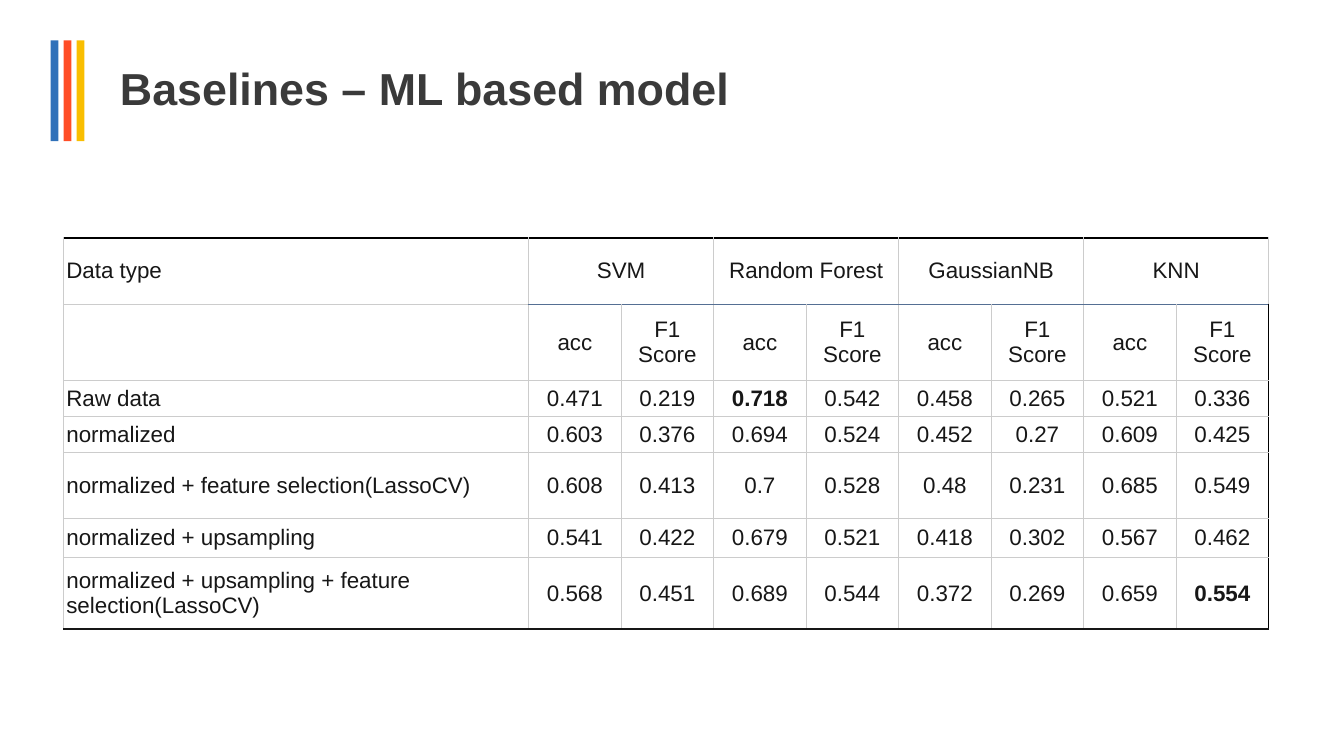
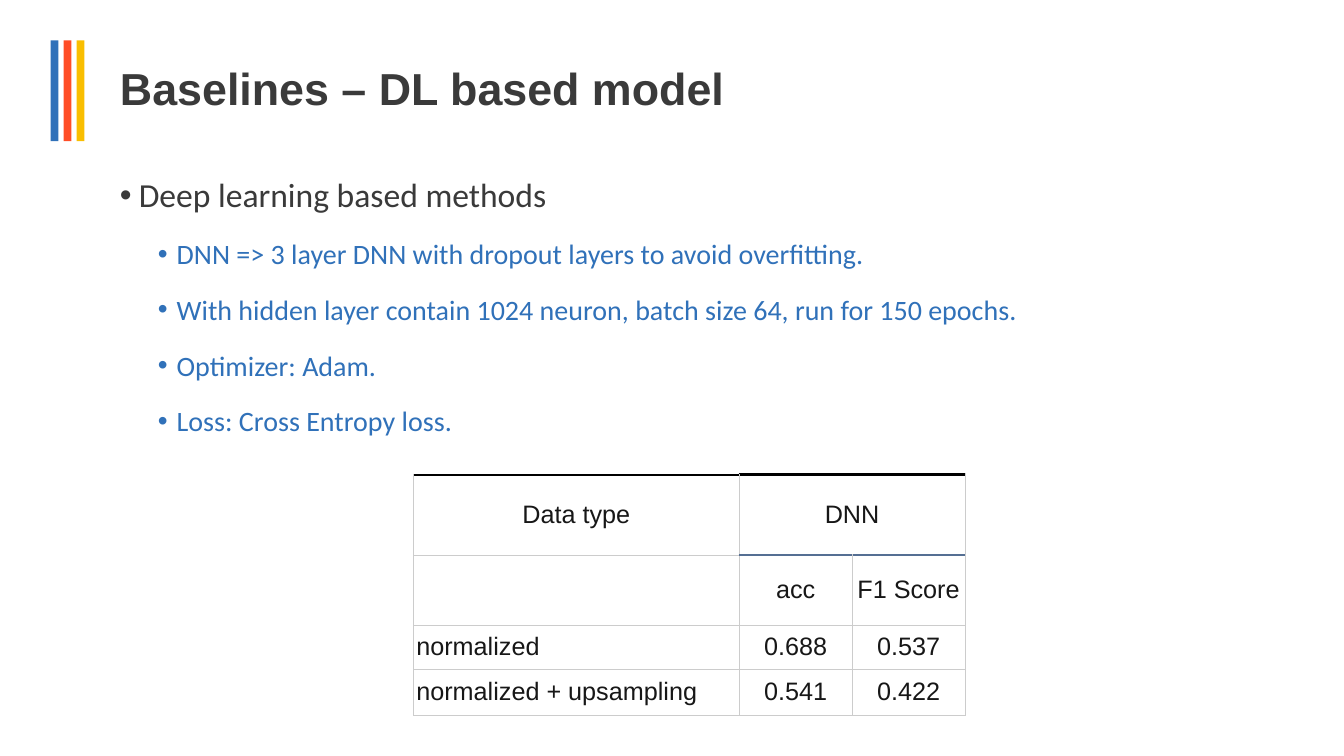
from dataclasses import dataclass

from lxml.etree import SubElement
from pptx import Presentation
from pptx.dml.color import RGBColor
from pptx.enum.shapes import MSO_SHAPE
from pptx.enum.text import MSO_ANCHOR, MSO_AUTO_SIZE, PP_ALIGN
from pptx.oxml.ns import qn
from pptx.util import Pt

BLUE, RED, YELLOW = "3071B9", "FF4D26", "F9BE00"
DARK, INK, BLACK = "3A3A3A", "171717", "000000"
GRID, HEADER_RULE = "CCCCCC", "556F93"

TITLE_FONT = {"name": "Arial", "size": Pt(32), "bold": True}
TITLE_FRAME = {"vertical_anchor": MSO_ANCHOR.MIDDLE, "word_wrap": True,
               "auto_size": MSO_AUTO_SIZE.NONE}
BODY_FRAME = {**TITLE_FRAME, "vertical_anchor": MSO_ANCHOR.TOP}
CELL_FORMAT = {"vertical_anchor": MSO_ANCHOR.MIDDLE, "margin_left": Pt(2),
               "margin_right": Pt(2), "margin_top": 0, "margin_bottom": 0}
PLAIN_TABLE = {"first_row": False, "horz_banding": False}

TITLE_AREA = (78.5, 28.8, 828, 72)
BODY_AREA = (78.5, 106.5, 828, 363)


@dataclass(frozen=True)
class Border:
    color: str = GRID
    width: float = 0.75


@dataclass(frozen=True)
class BulletStyle:
    size: float
    color: str
    indent: float
    space_before: float


@dataclass(frozen=True)
class ScoreTable:
    left: float
    top: float
    label_width: float
    score_width: float
    row_heights: tuple[float, ...]
    models: tuple[str, ...]
    scores: dict[str, str]
    font_size: float
    header_align: PP_ALIGN
    right: Border = Border()
    bottom: Border = Border()
    best: tuple[str, ...] = ()

    def rows(self) -> list[list[str]]:
        names = [text for model in self.models for text in (model, "")]
        return [["Data type", *names],
                ["", *["acc", "F1 Score"] * len(self.models)],
                *([label, *line.split()] for label, line in self.scores.items())]


BULLET_STYLES = (BulletStyle(24, DARK, 13.5, 0), BulletStyle(20, BLUE, 40.5, 3.8))

DEEP_LEARNING_POINTS = (
    (0, "Deep learning based methods"),
    (1, "DNN => 3 layer DNN with dropout layers to avoid overfitting."),
    (1, "With hidden layer contain 1024 neuron, batch size 64, run for 150 epochs."),
    (1, "Optimizer: Adam."),
    (1, "Loss: Cross Entropy loss."),
)

MACHINE_LEARNING_SCORES = ScoreTable(
    left=45.4, top=170, label_width=332.2, score_width=66.1,
    row_heights=(47.4, 54.2, 25.8, 25.8, 47.2, 27.7, 51.5),
    models=("SVM", "Random Forest", "GaussianNB", "KNN"),
    scores={
        "Raw data": "0.471 0.219 0.718 0.542 0.458 0.265 0.521 0.336",
        "normalized": "0.603 0.376 0.694 0.524 0.452 0.27 0.609 0.425",
        "normalized + feature selection(LassoCV)":
            "0.608 0.413 0.7 0.528 0.48 0.231 0.685 0.549",
        "normalized + upsampling":
            "0.541 0.422 0.679 0.521 0.418 0.302 0.567 0.462",
        "normalized + upsampling + feature selection(LassoCV)":
            "0.568 0.451 0.689 0.544 0.372 0.269 0.659 0.554",
    },
    font_size=16, header_align=PP_ALIGN.LEFT, right=Border(BLACK),
    bottom=Border(INK, 1.5), best=("0.718", "0.554"))

DEEP_LEARNING_SCORES = ScoreTable(
    left=295.4, top=339, label_width=232.6, score_width=80.7,
    row_heights=(57.5, 50, 31.5, 32.9), models=("DNN",),
    scores={"normalized": "0.688 0.537", "normalized + upsampling": "0.541 0.422"},
    font_size=18, header_align=PP_ALIGN.CENTER)


def rgb(color: str) -> RGBColor:
    return RGBColor.from_string(color)


def apply(target, values: dict) -> None:
    for name, value in values.items():
        setattr(target, name, value)


def write(para, text: str, color: str, font: dict) -> None:
    span = para.add_run()
    span.text = text
    apply(span.font, font)
    span.font.color.rgb = rgb(color)


def place(box, area: tuple[float, ...]) -> None:
    apply(box, dict(zip(("left", "top", "width", "height"), map(Pt, area))))


def add_page(deck, layout_index: int, title: str):
    """Add a page with the three colour bars and its title."""
    page = deck.slides.add_slide(deck.slide_layouts[layout_index])
    for index, color in enumerate((BLUE, RED, YELLOW)):
        bar = page.shapes.add_shape(MSO_SHAPE.RECTANGLE, Pt(36.2 + 9.3 * index),
                                    Pt(28.8), Pt(5.5), Pt(72))
        bar.shadow.inherit = False
        bar.fill.solid()
        bar.fill.fore_color.rgb = rgb(color)
        bar.line.fill.background()
    box = page.shapes.title
    place(box, TITLE_AREA)
    apply(box.text_frame, TITLE_FRAME)
    para = box.text_frame.paragraphs[0]
    apply(para, {"alignment": PP_ALIGN.LEFT, "line_spacing": 0.9})
    write(para, title, DARK, TITLE_FONT)
    return page


def add_bullet(para, style: BulletStyle) -> None:
    properties = para._p.get_or_add_pPr()
    properties.set("marL", str(Pt(style.indent)))
    properties.set("indent", str(-Pt(13.5)))
    color = SubElement(properties, qn("a:buClr"))
    SubElement(color, qn("a:srgbClr"), val=style.color)
    SubElement(properties, qn("a:buFont"), typeface="Arial")
    SubElement(properties, qn("a:buChar"), char="•")


def fill_body(box, points: tuple[tuple[int, str], ...]) -> None:
    place(box, BODY_AREA)
    frame = box.text_frame
    apply(frame, BODY_FRAME)
    for index, (level, text) in enumerate(points):
        para = frame.add_paragraph() if index else frame.paragraphs[0]
        style = BULLET_STYLES[level]
        apply(para, {"level": level, "line_spacing": 1.5,
                     "space_before": Pt(style.space_before)})
        add_bullet(para, style)
        write(para, text, style.color, {"name": "Calibri", "size": Pt(style.size)})


def set_borders(cell, borders: dict[str, Border]) -> None:
    """Draw the cell's sides; keys are L, R, T and B, in that order."""
    properties = cell._tc.get_or_add_tcPr()
    for side, border in borders.items():
        line = SubElement(properties, qn(f"a:ln{side}"), w=str(Pt(border.width)))
        fill = SubElement(line, qn("a:solidFill"))
        SubElement(fill, qn("a:srgbClr"), val=border.color)


def cell_borders(spec: ScoreTable, row: int, column: int) -> dict[str, Border]:
    last_row, last_column = len(spec.row_heights) - 1, 2 * len(spec.models)
    grid, rule = Border(), Border(HEADER_RULE, 1)
    top = bottom = grid
    if row == 0:
        top = Border(BLACK, 2.25 if column else 1.5)
        bottom = rule if column else grid
    elif row == 1 and column:
        top = rule
    elif row == last_row:
        bottom = spec.bottom
    right = spec.right if column == last_column else grid
    return {"L": grid, "R": right, "T": top, "B": bottom}


def add_score_table(page, spec: ScoreTable) -> None:
    rows = spec.rows()
    widths = [spec.label_width] + [spec.score_width] * (2 * len(spec.models))
    table = page.shapes.add_table(
        len(rows), len(widths), Pt(spec.left), Pt(spec.top),
        Pt(sum(widths)), Pt(sum(spec.row_heights))).table
    apply(table, PLAIN_TABLE)
    for column, width in zip(table.columns, widths):
        column.width = Pt(width)
    for row, height in zip(table.rows, spec.row_heights):
        row.height = Pt(height)
    for first in range(1, len(widths), 2):
        table.cell(0, first).merge(table.cell(0, first + 1))
    for row, texts in enumerate(rows):
        for column, text in enumerate(texts):
            cell = table.cell(row, column)
            apply(cell, CELL_FORMAT)
            set_borders(cell, cell_borders(spec, row, column))
            cell.fill.background()
            if not text:
                continue
            para = cell.text_frame.paragraphs[0]
            label_align = PP_ALIGN.LEFT if row else spec.header_align
            para.alignment = PP_ALIGN.CENTER if column else label_align
            write(para, text, INK, {"name": "Arial", "size": Pt(spec.font_size),
                                    "bold": text in spec.best})


def main() -> None:
    deck = Presentation()
    apply(deck, {"slide_width": Pt(960), "slide_height": Pt(540)})

    page = add_page(deck, 5, "Baselines – ML based model")
    add_score_table(page, MACHINE_LEARNING_SCORES)

    page = add_page(deck, 1, "Baselines – DL based model")
    fill_body(page.placeholders[1], DEEP_LEARNING_POINTS)
    add_score_table(page, DEEP_LEARNING_SCORES)

    deck.save("out.pptx")


if __name__ == "__main__":
    main()
